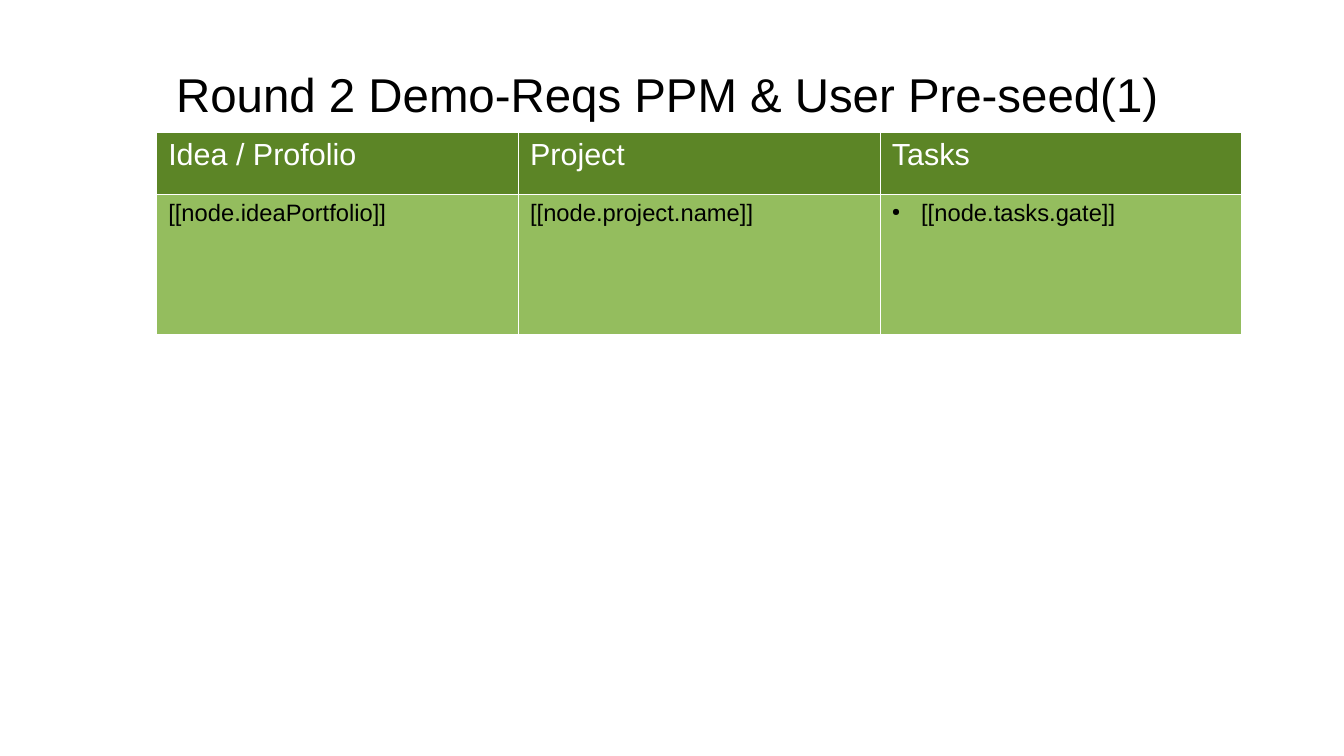
from dataclasses import dataclass

from lxml import etree
from pptx import Presentation
from pptx.dml.color import RGBColor
from pptx.enum.text import MSO_ANCHOR, PP_ALIGN
from pptx.oxml.ns import qn
from pptx.util import Inches, Pt

MIDDLE = MSO_ANCHOR.MIDDLE
CENTER = PP_ALIGN.CENTER
TITLE_ONLY = 5

TITLE = "Round 2 Demo-Reqs PPM & User Pre-seed(1)"
HEADERS = ["Idea / Profolio", "Project", "Tasks"]
FIELDS = ["[[node.ideaPortfolio]]", "[[node.project.name]]", "[[node.tasks.gate]]"]
BULLETED = "Tasks"
ROW_HEIGHTS = [0.51, 1.15]
TABLE_LEFT, TABLE_TOP, TABLE_WIDTH = 1.28, 1.08, 8.9


@dataclass(frozen=True)
class Theme:
    font: str = "Arial"
    title_size: int = 28
    header_size: int = 18
    field_size: int = 14
    text: str = "000000"
    header_text: str = "FFFFFF"
    header_fill: str = "5C8526"
    field_fill: str = "94BD5E"
    border: str = "FFFFFF"
    border_width: float = 0.06


THEME = Theme()


def style(p, size, color):
    p.font.name = THEME.font
    p.font.size = Pt(size)
    p.font.color.rgb = RGBColor.from_string(color)


def add_borders(cell):
    tcPr = cell._tc.get_or_add_tcPr()
    for side in ("lnL", "lnR", "lnT", "lnB"):
        ln = etree.SubElement(tcPr, qn(f"a:{side}"), w=str(Pt(THEME.border_width)))
        fill = etree.SubElement(ln, qn("a:solidFill"))
        etree.SubElement(fill, qn("a:srgbClr"), val=THEME.border)


def add_bullet(p):
    pPr = p._p.get_or_add_pPr()
    indent = Inches(0.24)
    pPr.set("marL", str(indent))
    pPr.set("indent", str(-indent))
    color = etree.Element(qn("a:buClr"))
    etree.SubElement(color, qn("a:srgbClr"), val=THEME.text)
    size = etree.Element(qn("a:buSzPct"), val="45000")
    char = etree.Element(qn("a:buChar"), char="●")
    for i, part in enumerate((color, size, char)):
        pPr.insert(i, part)


def add_title(s):
    sp = s.shapes.title
    sp.left, sp.top = Inches(0.51), Inches(0.25)
    sp.width, sp.height = Inches(9.92), Inches(1.04)
    tf = sp.text_frame
    tf.margin_left = tf.margin_right = tf.margin_top = tf.margin_bottom = 0
    tf.vertical_anchor = MIDDLE
    p = tf.paragraphs[0]
    p.text = TITLE
    p.alignment = CENTER
    style(p, THEME.title_size, THEME.text)


def add_fields_table(s):
    rows = [
        (HEADERS, THEME.header_size, THEME.header_text, THEME.header_fill),
        (FIELDS, THEME.field_size, THEME.text, THEME.field_fill),
    ]
    table = s.shapes.add_table(
        len(rows), len(HEADERS), Inches(TABLE_LEFT), Inches(TABLE_TOP),
        Inches(TABLE_WIDTH), Inches(sum(ROW_HEIGHTS))).table
    table.first_row = table.horz_banding = False
    for r, (texts, size, color, fill) in enumerate(rows):
        table.rows[r].height = Inches(ROW_HEIGHTS[r])
        for c, text in enumerate(texts):
            cell = table.cell(r, c)
            add_borders(cell)
            cell.fill.solid()
            cell.fill.fore_color.rgb = RGBColor.from_string(fill)
            p = cell.text_frame.paragraphs[0]
            p.text = text
            style(p, size, color)
    add_bullet(table.cell(1, HEADERS.index(BULLETED)).text_frame.paragraphs[0])


def main():
    prs = Presentation()
    prs.slide_width, prs.slide_height = Inches(11.02), Inches(6.2)
    s = prs.slides.add_slide(prs.slide_layouts[TITLE_ONLY])
    add_title(s)
    add_fields_table(s)
    prs.save("out.pptx")


if __name__ == "__main__":
    main()
